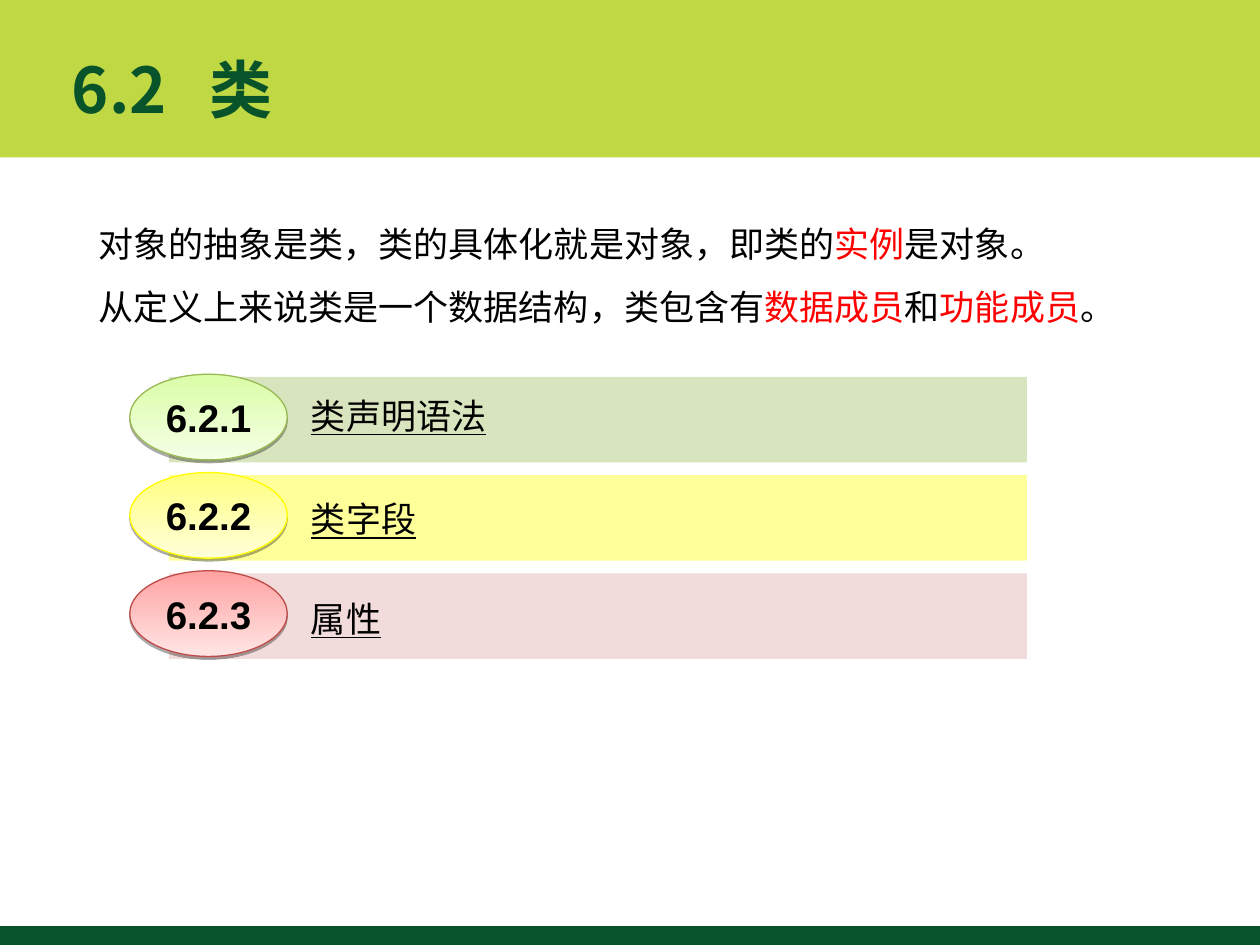
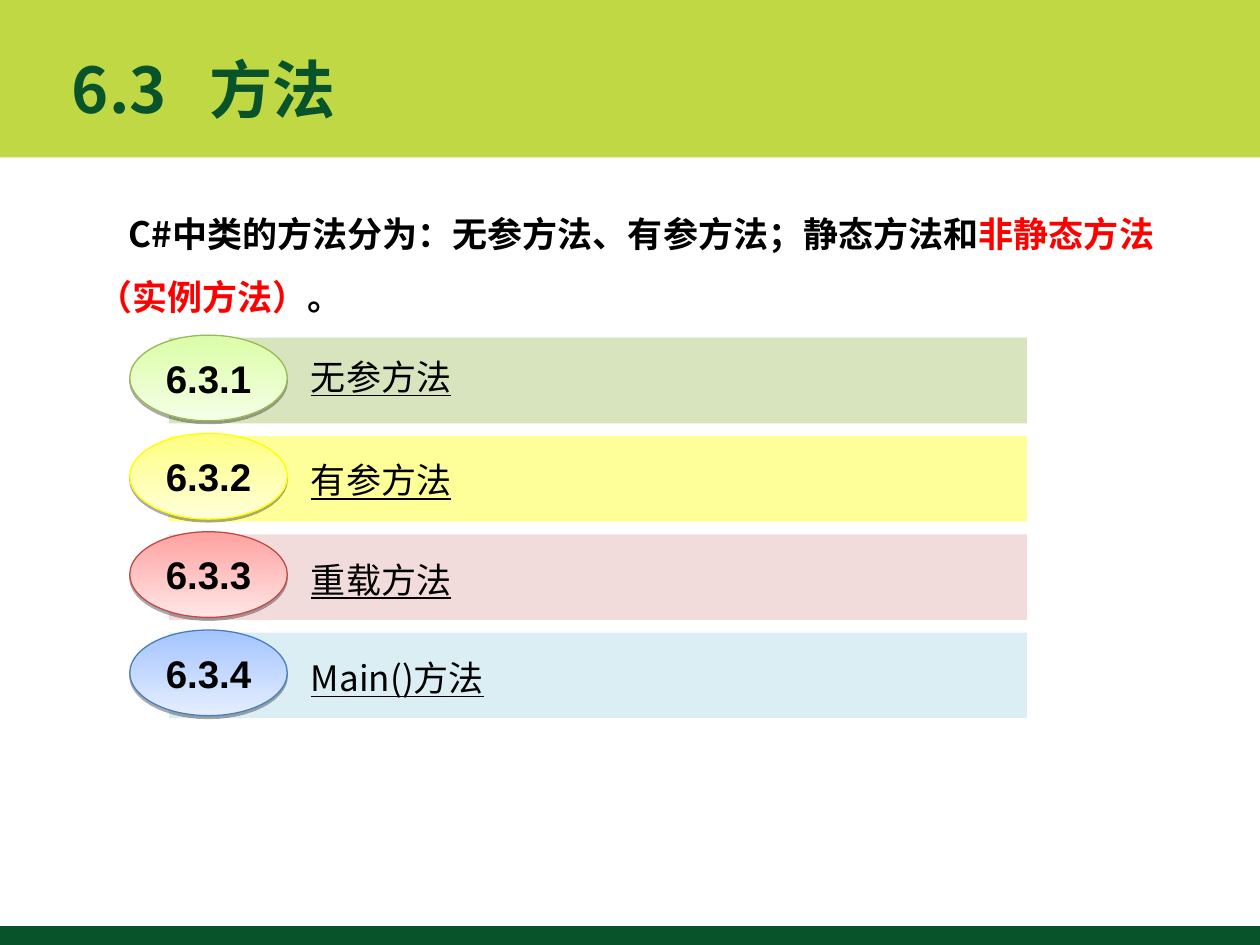
from lxml.etree import SubElement
from pptx import Presentation
from pptx.dml.color import RGBColor
from pptx.enum.shapes import MSO_SHAPE as Preset
from pptx.enum.text import MSO_ANCHOR as Anchor, MSO_AUTO_SIZE as AutoSize, PP_ALIGN as Align
from pptx.oxml.ns import qn
from pptx.util import Emu, Inches, Pt

WIDTH, HEIGHT = Inches(10), Inches(7.5)
CJK_FONT, NUMBER_FONT = "Noto Sans CJK SC", "Arial"
COLORS = {
    "header": "BFD844",
    "dark green": "09532A",
    "text": "000000",
    "highlight": "FF0000",
}
# One entry for each row of an agenda, from top to bottom
ROW_STYLES = [
    {"bar": "D7E4BD", "top": "DAFDA7", "bottom": "F5FFE6", "line": "98B954", "label_drop": 0.09},
    {"bar": "FFFF99", "top": "FFFF80", "bottom": "FFFFDA", "line": "FFFF00", "label_drop": 0.13},
    {"bar": "F2DCDB", "top": "FFA2A1", "bottom": "FFE5E5", "line": "BE4B48", "label_drop": 0.14},
    {"bar": "DBEEF4", "top": "A3C4FF", "bottom": "E5EEFF", "line": "4A7EBB", "label_drop": 0.14},
]
ROW_PITCH, ROW_HEIGHT = 0.78, 0.68
BAR_LEFT, BAR_WIDTH = 1.34, 6.81
BADGE_LEFT, BADGE_WIDTH, BADGE_RISE = 1.03, 1.25, 0.02
LABEL_LEFT, LABEL_WIDTH, LABEL_HEIGHT = 2.37, 3.44, 0.44


def rgb(color):
    return RGBColor.from_string(color)


def box(*inches):
    return [Inches(length) for length in inches]


def place(shape, left, top, width, height):
    shape.left, shape.top, shape.width, shape.height = box(left, top, width, height)


def add_run(paragraph, text, size, color=COLORS["text"], font=CJK_FONT, bold=False, underline=False):
    run = paragraph.add_run()
    run.text = text
    run.font.name = font
    run.font.size = Pt(size)
    run.font.bold = bold
    run.font.underline = underline
    run.font.color.rgb = rgb(color)
    SubElement(run.font._element, qn("a:ea"), typeface=font)


def add_filled_shape(shapes, preset, bounds, color):
    shape = shapes.add_shape(preset, *bounds)
    shape.shadow.inherit = False
    shape.fill.solid()
    shape.fill.fore_color.rgb = rgb(color)
    shape.line.fill.background()
    return shape


def add_master_bands(presentation, slide):
    """Put the header and footer bands behind everything on the slide master."""
    master_tree = presentation.slide_master.element.cSld.spTree
    bands = [("header", 0, 1 / 6), ("dark green", 0.98, 0.02)]
    for index, (color, top, height) in enumerate(bands):
        bounds = 0, Emu(int(HEIGHT * top)), WIDTH, Emu(int(HEIGHT * height))
        band = add_filled_shape(slide.shapes, Preset.RECTANGLE, bounds, COLORS[color])
        band.element.nvSpPr.cNvPr.set("id", str(100 + index))
        master_tree.insert(2 + index, band.element)


def set_title(slide, number, topic):
    title = slide.shapes.title
    place(title, 0.47, 0.23, 6.8, 0.95)
    frame = title.text_frame
    frame.auto_size = AutoSize.NONE
    frame.vertical_anchor = Anchor.MIDDLE
    paragraph = frame.paragraphs[0]
    tabs = SubElement(paragraph._p.get_or_add_pPr(), qn("a:tabLst"))
    SubElement(tabs, qn("a:tab"), pos=str(Inches(1.09)), algn="l")
    paragraph.alignment = Align.LEFT
    add_run(paragraph, f"{number}\t{topic}", 36, COLORS["dark green"], bold=True)


def set_introduction(slide, left, top, paragraphs, bold=False):
    """Fill the body with paragraphs, each a list of (text, colour name) runs."""
    body = slide.placeholders[1]
    place(body, left, top, 8.83, 1.1)
    frame = body.text_frame
    frame.auto_size = AutoSize.NONE
    for index, runs in enumerate(paragraphs):
        paragraph = frame.add_paragraph() if index else frame.paragraphs[0]
        properties = paragraph._p.get_or_add_pPr()
        properties.set("marL", "0")
        properties.set("indent", str(Inches(0.25)))
        SubElement(properties, qn("a:buNone"))
        paragraph.line_spacing = 1.5
        paragraph.space_before = Pt(0)
        for text, color in runs:
            add_run(paragraph, text, 20, COLORS[color], bold=bold)


def add_badge(shapes, bounds, number, style):
    badge = add_filled_shape(shapes, Preset.OVAL, bounds, style["top"])
    badge.fill.gradient()
    badge.fill.gradient_angle = 270
    for stop, end in zip(badge.fill.gradient_stops, ("top", "bottom")):
        stop.color.rgb = rgb(style[end])
    badge.line.color.rgb = rgb(style["line"])
    badge.line.width = Pt(0.75)
    effects = badge.element.spPr.find(qn("a:effectLst"))
    shadow = SubElement(effects, qn("a:outerShdw"), blurRad="0", dist=str(Pt(1.6)),
                        dir="5400000", rotWithShape="0")
    shadow_color = SubElement(shadow, qn("a:srgbClr"), val="000000")
    SubElement(shadow_color, qn("a:alpha"), val="33000")
    frame = badge.text_frame
    frame.vertical_anchor = Anchor.MIDDLE
    frame.word_wrap = False
    frame.paragraphs[0].alignment = Align.CENTER
    add_run(frame.paragraphs[0], number, 22, font=NUMBER_FONT, bold=True)


def add_agenda(slide, section, first_top, topics):
    for row, (topic, style) in enumerate(zip(topics, ROW_STYLES)):
        top = first_top + row * ROW_PITCH
        group = slide.shapes.add_group_shape()
        add_filled_shape(group.shapes, Preset.RECTANGLE,
                         box(BAR_LEFT, top, BAR_WIDTH, ROW_HEIGHT), style["bar"])
        add_badge(group.shapes, box(BADGE_LEFT, top - BADGE_RISE, BADGE_WIDTH, ROW_HEIGHT),
                  f"{section}.{row + 1}", style)
        label = slide.shapes.add_textbox(
            *box(LABEL_LEFT, top + style["label_drop"], LABEL_WIDTH, LABEL_HEIGHT))
        label.text_frame.word_wrap = True
        add_run(label.text_frame.paragraphs[0], topic, 20, underline=True)


def main():
    presentation = Presentation()
    presentation.slide_width, presentation.slide_height = WIDTH, HEIGHT
    layout = presentation.slide_layouts[1]

    classes = presentation.slides.add_slide(layout)
    add_master_bands(presentation, classes)
    set_title(classes, "6.2", "类")
    set_introduction(classes, 0.43, 1.55, [
        [("对象的抽象是类，类的具体化就是对象，即类的", "text"), ("实例", "highlight"),
         ("是对象。", "text")],
        [("从定义上来说类是一个数据结构，类包含有", "text"), ("数据成员", "highlight"),
         ("和", "text"), ("功能成员", "highlight"), ("。", "text")],
    ])
    add_agenda(classes, "6.2", 2.99, ["类声明语法", "类字段", "属性"])

    methods = presentation.slides.add_slide(layout)
    set_title(methods, "6.3", "方法")
    set_introduction(methods, 0.67, 1.47, [
        [("C#中类的方法分为：无参方法、有参方法；静态方法和", "text"),
         ("非静态方法（实例方法）", "highlight"), ("。", "text")],
    ], bold=True)
    add_agenda(methods, "6.3", 2.68, ["无参方法", "有参方法", "重载方法", "Main()方法"])

    presentation.save("out.pptx")


if __name__ == "__main__":
    main()
